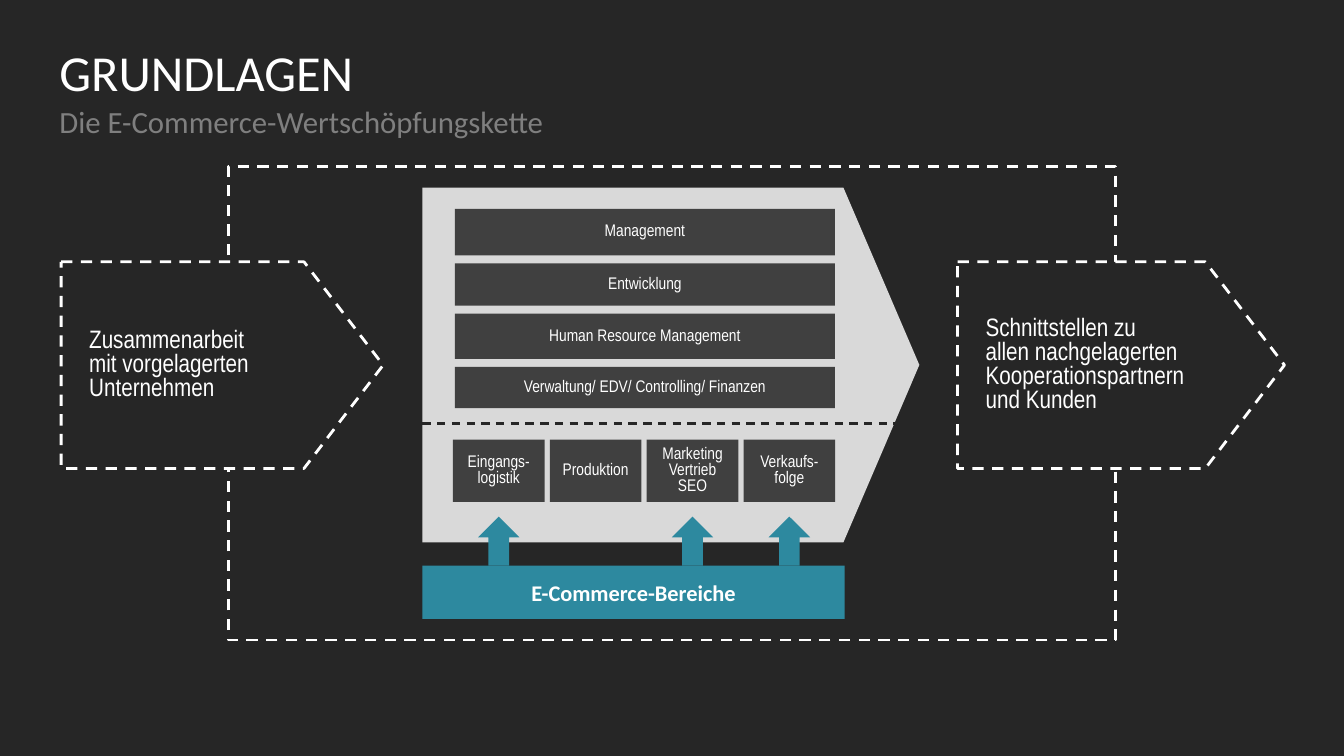
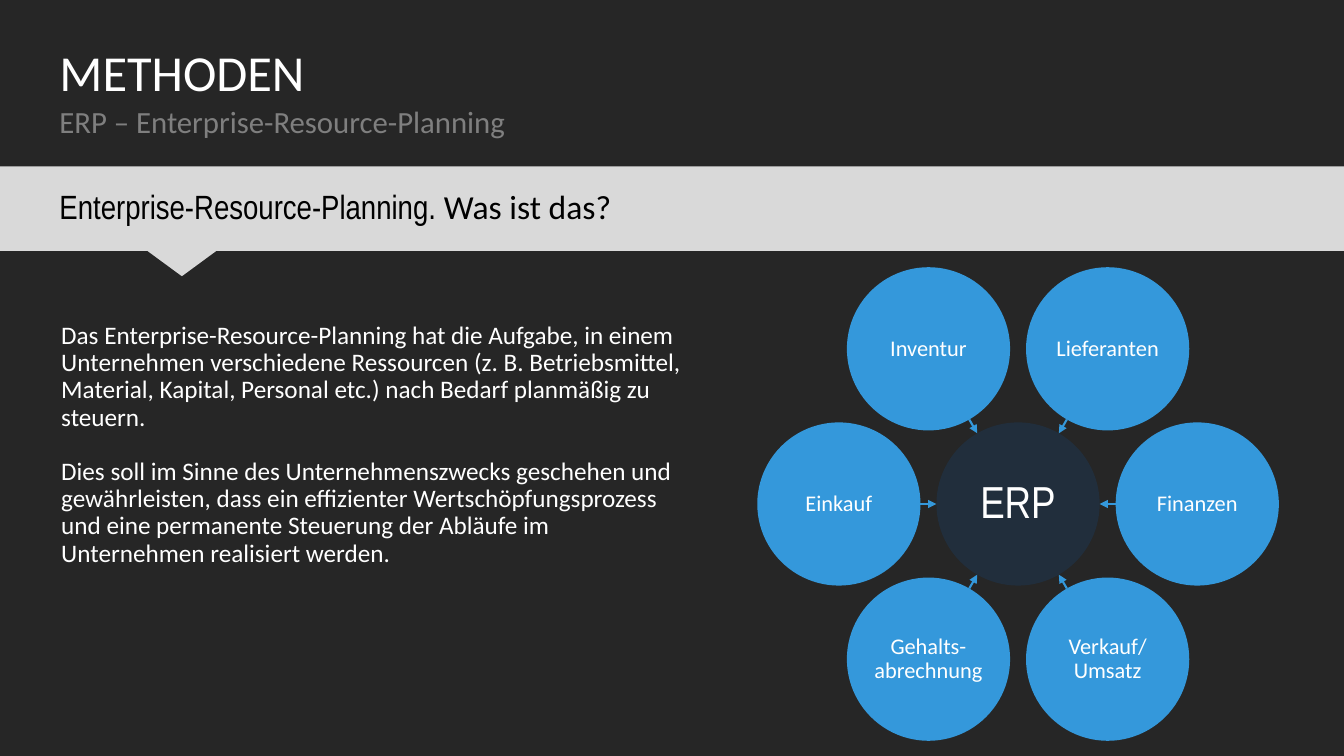
from math import cos, radians, sin

from lxml import etree
from pptx import Presentation
from pptx import util as u
from pptx.dml.color import RGBColor
from pptx.enum import dml, shapes, text
from pptx.oxml import ns

Pt = u.Pt
COLORS = {
    "night": "262626", "white": "FFFFFF", "black": "000000", "grey": "7F7F7F",
    "light": "D9D9D9", "dark": "404040", "teal": "2D899F", "blue": "3498DB",
    "navy": "212E3C",
}
SANS, NARROW = "Calibri", "Arial Narrow"
LEFT, WIDTH = 42.5, 875
KIND = shapes.MSO_SHAPE
ALIGN = text.PP_ALIGN
ANCHOR = text.MSO_ANCHOR


def color(name):
    return RGBColor.from_string(COLORS[name])


def add_span(para, words, size, font=SANS, ink="white", bold=False):
    """Add one run; a line feed becomes a line break."""
    for index, part in enumerate(words.split("\n")):
        if index:
            para.add_line_break()
        span = para.add_run()
        span.text = part
        span.font.size = Pt(size)
        span.font.name = font
        span.font.bold = bold
        span.font.color.rgb = color(ink)


def set_frame(shape, insets=(0, 0, 0, 0), anchor=ANCHOR.TOP):
    frame = shape.text_frame
    frame.word_wrap = True
    frame.auto_size = text.MSO_AUTO_SIZE.NONE
    frame.vertical_anchor = anchor
    frame.margin_left, frame.margin_top, frame.margin_right, frame.margin_bottom = map(Pt, insets)
    return frame


def style_para(para, spacing=0.9, align=ALIGN.LEFT):
    para.line_spacing = spacing
    para.alignment = align
    return para


def add_text_box(page, place):
    return set_frame(page.shapes.add_textbox(*map(Pt, place)))


def dash_line(line, ink, width):
    line.color.rgb = color(ink)
    line.width = Pt(width)
    line.dash_style = dml.MSO_LINE.DASH


def add_box(page, kind, place, fill=None, dashed=False, adjust=()):
    box = page.shapes.add_shape(kind, *map(Pt, place))
    box.shadow.inherit = False
    for index, value in enumerate(adjust):
        box.adjustments[index] = value
    if fill:
        box.fill.solid()
        box.fill.fore_color.rgb = color(fill)
    else:
        box.fill.background()
    if dashed:
        dash_line(box.line, "white", 2)
    else:
        box.line.fill.background()
    return box


def label(box, words, size, font=SANS, bold=False, spacing=0.9,
          insets=(0, 0, 0, 0), align=ALIGN.CENTER):
    frame = set_frame(box, insets, ANCHOR.MIDDLE)
    add_span(style_para(frame.paragraphs[0], spacing, align), words, size, font, bold=bold)


def add_line(page, start, end, ink, dashed=False, arrow=False):
    link = page.shapes.add_connector(shapes.MSO_CONNECTOR.STRAIGHT, *map(Pt, start + end))
    link.line.color.rgb = color(ink)
    link.line.width = Pt(1.5)
    if dashed:
        dash_line(link.line, ink, 1.5)
    properties = link._element.spPr
    if arrow:
        etree.SubElement(properties.find(ns.qn("a:ln")), ns.qn("a:tailEnd"), type="triangle")
    etree.SubElement(properties, ns.qn("a:effectLst"))


def add_page(deck, title, subtitle):
    page = deck.slides.add_slide(deck.slide_layouts[5])
    head = page.shapes.title
    head.left, head.top, head.width, head.height = map(Pt, (LEFT, 34, WIDTH, 42))
    para = style_para(set_frame(head).paragraphs[0])
    add_span(para, title, 36)
    frame = add_text_box(page, (LEFT, 76.3, WIDTH, 42.5))
    add_span(style_para(frame.paragraphs[0]), subtitle, 22, ink="grey")
    return page


def add_activity(page, place, words):
    box = add_box(page, KIND.RECTANGLE, place, "dark")
    label(box, words, 12, NARROW, spacing=0.8, insets=(5.76,) * 4)


def add_partner(page, left, width, words):
    box = add_box(page, KIND.RIGHT_ARROW, (left, 187, width, 147.6), "night", True, (1, 0.383))
    label(box, words, 18, NARROW, spacing=0.8, insets=(20, 0, 0, 0), align=ALIGN.LEFT)


def build_value_chain(deck):
    page = add_page(deck, "GRUNDLAGEN", "Die E-Commerce-Wertschöpfungskette")
    add_box(page, KIND.PENTAGON, (301.7, 134, 355, 253.4), "light", adjust=(0.214,))
    areas = add_box(page, KIND.RECTANGLE, (301.7, 404, 301.7, 38), "teal")
    label(areas, "E-Commerce-Bereiche", 16, bold=True, spacing=1)
    add_box(page, KIND.RECTANGLE, (163, 118.8, 634, 338.4), dashed=True)

    # Support activities, stacked with equal gaps
    top = 149.2
    for words, height in (("Management", 33.2), ("Entwicklung", 30.3),
                          ("Human Resource Management", 32.3),
                          ("Verwaltung/ EDV/ Controlling/ Finanzen", 29.4)):
        add_activity(page, (325, top, 271.4, height), words)
        top += height + 5.7

    # Primary activities; those run by e-commerce get an arrow
    column, arrow = 65.5, 29.5
    for index, (words, online) in enumerate((
            ("Eingangs-logistik", True), ("Produktion", False),
            ("Marketing Vertrieb SEO", True), ("Verkaufs-folge", True))):
        left = 323.5 + index * 69.2
        add_activity(page, (left, 314, column, 44.5), words)
        if online:
            add_box(page, KIND.UP_ARROW,
                    (left + (column - arrow) / 2, 369, arrow, 35), "teal")

    # Partners before and after the chain
    add_partner(page, 43.7, 230, "Zusammenarbeit\nmit vorgelagerten Unternehmen")
    add_partner(page, 684, 233.5,
                "Schnittstellen zu\nallen nachgelagerten Kooperationspartnern und Kunden")
    add_line(page, (301.7, 302.5), (639.5, 302.5), "night", dashed=True)


def add_circle(page, center, radius, fill, words, size, font=SANS):
    x, y = center
    circle = add_box(page, KIND.OVAL, (x - radius, y - radius, 2 * radius, 2 * radius), fill)
    label(circle, words, size, font)


def add_hub(page, hub, radius, ring, names):
    """Draw a hub with satellites spread evenly, clockwise from the right."""
    def spot(angle, distance):
        return (hub[0] + distance * cos(angle), hub[1] + distance * sin(angle))

    add_circle(page, hub, radius, "navy", "ERP", 32, NARROW)
    for index, name in enumerate(names):
        angle = radians(index * 360 / len(names))
        add_circle(page, spot(angle, ring), radius, "blue", name, 16)
        add_line(page, spot(angle, ring - radius), spot(angle, radius), "blue", arrow=True)


def build_erp(deck):
    page = add_page(deck, "METHODEN", "ERP – Enterprise-Resource-Planning")

    # Explanation
    frame = add_text_box(page, (43.7, 230.4, 453, 176.4))
    paragraphs = (
        "Das Enterprise-Resource-Planning hat die Aufgabe, in einem Unternehmen "
        "verschiedene Ressourcen (z. B. Betriebsmittel, Material, Kapital, Personal etc.) "
        "nach Bedarf planmäßig zu steuern.",
        "Dies soll im Sinne des Unternehmenszwecks geschehen und gewährleisten, dass ein "
        "effizienter Wertschöpfungsprozess und eine permanente Steuerung der Abläufe im "
        "Unternehmen realisiert werden.",
    )
    for index, words in enumerate(paragraphs):
        para = frame.add_paragraph() if index else frame.paragraphs[0]
        if index:
            para.space_before = Pt(19.5)
        add_span(style_para(para), words, 18)

    # Question band with pointer
    band = add_box(page, KIND.RECTANGLE, (0, 118.8, 960, 60.5), "light")
    para = set_frame(band, (LEFT, 3.6, LEFT, 3.6), ANCHOR.MIDDLE).paragraphs[0]
    style_para(para)
    add_span(para, "Enterprise-Resource-Planning. ", 24, NARROW, "black")
    add_span(para, "Was ist das?", 24, ink="black")
    pointer = add_box(page, KIND.ISOSCELES_TRIANGLE, (104.4, 178.6, 51, 18.7), "light")
    pointer.rotation = 180

    add_hub(page, (727.2, 360), 58.3, 128,
            ("Finanzen", "Verkauf/ Umsatz", "Gehalts-abrechnung",
             "Einkauf", "Inventur", "Lieferanten"))


def main():
    deck = Presentation()
    deck.slide_width, deck.slide_height = Pt(960), Pt(540)
    backdrop = deck.slide_master.background.fill
    backdrop.solid()
    backdrop.fore_color.rgb = color("night")
    build_value_chain(deck)
    build_erp(deck)
    deck.save("out.pptx")


if __name__ == "__main__":
    main()
